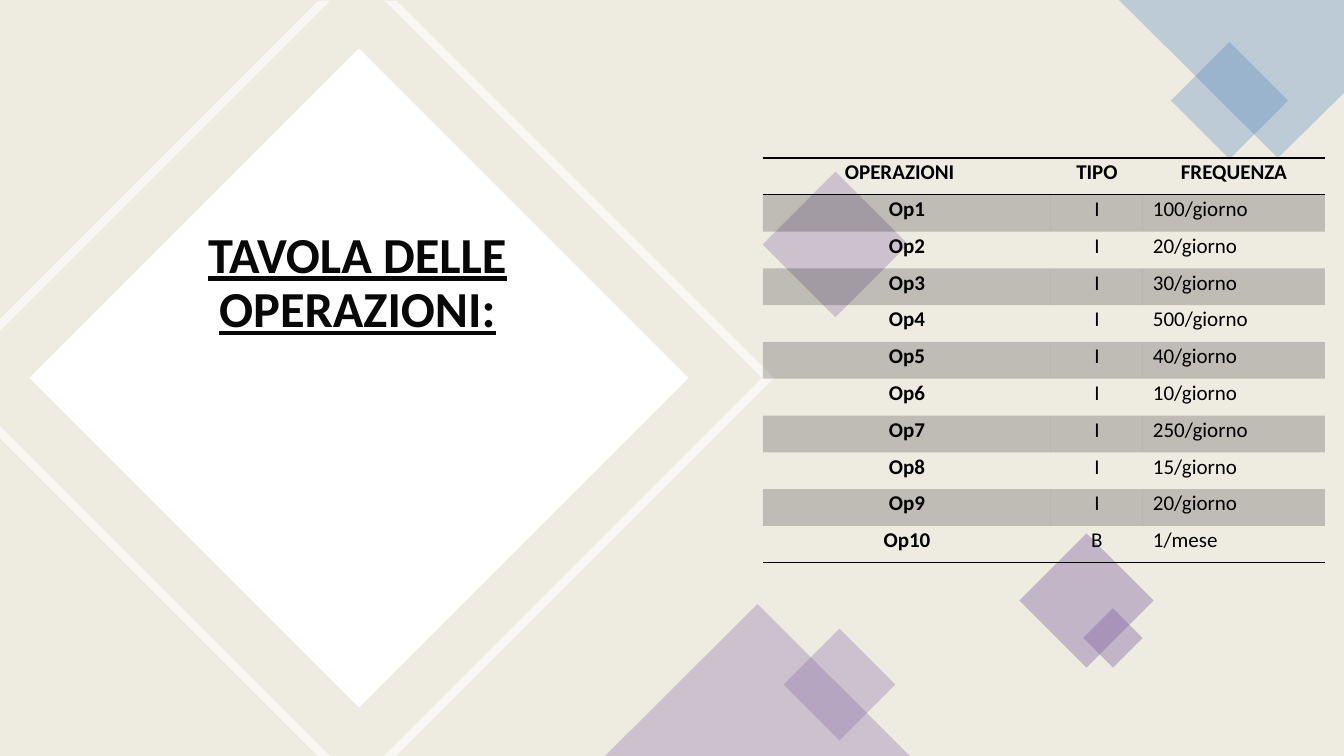
from lxml import etree
from pptx import Presentation
from pptx.dml.color import RGBColor
from pptx.enum.shapes import MSO_SHAPE
from pptx.enum.text import MSO_ANCHOR, PP_ALIGN
from pptx.oxml.ns import qn
from pptx.util import Pt

RECTANGLE, TRIANGLE = MSO_SHAPE.RECTANGLE, MSO_SHAPE.ISOSCELES_TRIANGLE
LEFT, CENTER = PP_ALIGN.LEFT, PP_ALIGN.CENTER
TOP = MSO_ANCHOR.TOP
PX = 12192000 / 1344
FONT = "Calibri"
NO_STYLE = "{2D5ABB26-0587-4C30-8999-92F81FD0307C}"
COLORS = {"cream": "EEECE1", "white": "FFFFFF", "blue": "4F81BD",
          "purple": "8064A2", "title": "080808", "black": "000000"}


def px(length):
    return round(length * PX)


def paint(fill, color, opacity=100):
    fill.solid()
    fill.fore_color.rgb = RGBColor.from_string(COLORS[color])
    if opacity < 100:
        color_element = fill._xPr.find(qn("a:solidFill"))[0]
        etree.SubElement(color_element, qn("a:alpha"), val=str(opacity * 1000))


presentation = Presentation()
presentation.slide_width, presentation.slide_height = px(1344), px(756)
slide = presentation.slides.add_slide(presentation.slide_layouts[6])
shapes = slide.shapes

# Backdrop and large white diamond: shape, left, top, width, height, turn, color, opacity
backdrop = [
    (RECTANGLE, 0, 0, 1344, 756, 0, "cream", 100),
    (RECTANGLE, 126, 145, 466, 466, 45, "white", 100),
]
# Small diamonds and bottom triangle
ornaments = [
    (RECTANGLE, 1188, 59, 83, 83, 45, "blue", 30),
    (RECTANGLE, 784, 193, 103, 103, 45, "purple", 30),
    (RECTANGLE, 1039, 553, 95, 95, 45, "purple", 40),
    (RECTANGLE, 1092, 617, 42, 42, 45, "purple", 40),
    (RECTANGLE, 800, 645, 79, 79, 45, "purple", 30),
    (TRIANGLE, 605, 604, 305, 152, 0, "purple", 30),
]
for kind, left, top, width, height, turn, color, opacity in backdrop + ornaments:
    shape = shapes.add_shape(kind, px(left), px(top), px(width), px(height))
    shape.rotation = turn
    shape.shadow.inherit = False
    shape.line.fill.background()
    paint(shape.fill, color, opacity)

# Blue corner and white frame, each made of closed outlines
corner = [[(1119, 0), (1344, 0), (1344, 93), (1278, 158)]]
frame = [
    [(0, 426), (330, 756), (318, 756), (0, 438)],
    [(385, 1), (397, 1), (774, 378), (396, 756), (384, 756), (762, 378)],
    [(318, 1), (330, 1), (0, 331), (0, 319)],
]
for outlines, color, opacity in [(corner, "blue", 30), (frame, "white", 60)]:
    builder = shapes.build_freeform(*outlines[0][0], scale=PX)
    for index, outline in enumerate(outlines):
        if index:
            builder.move_to(*outline[0])
        builder.add_line_segments(outline[1:], close=True)
    shape = builder.convert_to_shape()
    shape.shadow.inherit = False
    shape.line.fill.background()
    paint(shape.fill, color, opacity)

# Title
title = shapes.add_textbox(px(123), px(230), px(469), px(256))
text_frame = title.text_frame
text_frame.word_wrap = True
text_frame.vertical_anchor = TOP
text_frame.margin_top = 0
paragraph = text_frame.paragraphs[0]
paragraph.alignment = CENTER
paragraph.line_spacing = 0.9
run = paragraph.add_run()
run.text = "TAVOLA DELLE OPERAZIONI:"
run.font.name, run.font.size = FONT, Pt(36)
run.font.bold = run.font.underline = True
run.font.color.rgb = RGBColor.from_string(COLORS["title"])

# Table of operations
frequencies = ["100/giorno", "20/giorno", "30/giorno", "500/giorno", "40/giorno",
               "10/giorno", "250/giorno", "15/giorno", "20/giorno", "1/mese"]
rows = [("\tOPERAZIONI", "TIPO", "FREQUENZA")]
for number, frequency in enumerate(frequencies, 1):
    rows.append((f"Op{number}", "B" if number == 10 else "I", frequency))

table = shapes.add_table(len(rows), 3, px(763), px(158), px(562), px(405)).table
table.horz_banding = False
table._tbl.tblPr.find(qn("a:tableStyleId")).text = NO_STYLE
for column, width in zip(table.columns, (288, 92, 182)):
    column.width = px(width)

for row_index, row in enumerate(rows):
    header = row_index == 0
    borders = {0: ["a:lnT", "a:lnB"], len(rows) - 1: ["a:lnB"]}.get(row_index, [])
    for column_index, text in enumerate(row):
        cell = table.cell(row_index, column_index)
        cell.margin_left = cell.margin_right = px(10)
        cell.margin_top = cell.margin_bottom = 0
        if row_index % 2:
            paint(cell.fill, "black", 20)
        else:
            cell.fill.background()
        cell_properties = cell._tc.get_or_add_tcPr()
        for position, tag in enumerate(borders):
            border = etree.Element(qn(tag), w=str(Pt(1)))
            solid = etree.SubElement(border, qn("a:solidFill"))
            etree.SubElement(solid, qn("a:srgbClr"), val=COLORS["black"])
            cell_properties.insert(position, border)

        paragraph = cell.text_frame.paragraphs[0]
        starts_with_tab = text.startswith("\t")
        if starts_with_tab:
            tabs = etree.SubElement(paragraph._p.get_or_add_pPr(), qn("a:tabLst"))
            etree.SubElement(tabs, qn("a:tab"), pos=str(px(72)), algn="l")
        at_left = starts_with_tab or (column_index == 2 and not header)
        paragraph.alignment = LEFT if at_left else CENTER
        paragraph.line_spacing = 1.07
        paragraph.space_after = Pt(8)
        run = paragraph.add_run()
        run.text = text
        run.font.name, run.font.size = FONT, Pt(15)
        run.font.bold = header or column_index == 0
        run.font.color.rgb = RGBColor.from_string(COLORS["black"])

presentation.save("out.pptx")
